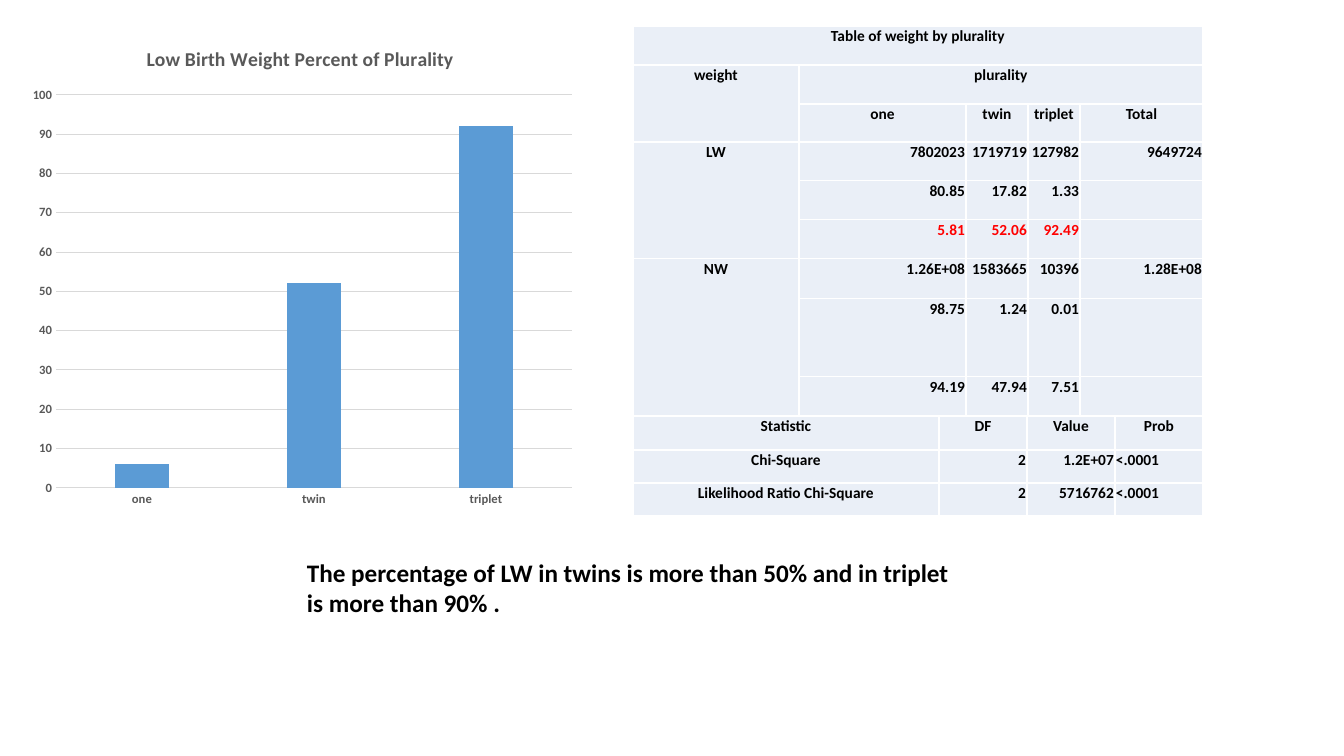
"""Build the slide on low birth weight by plurality."""
from lxml import etree
from pptx import Presentation
from pptx.chart.data import CategoryChartData
from pptx.dml.color import RGBColor
from pptx.enum.chart import XL_CHART_TYPE, XL_TICK_MARK
from pptx.enum.text import MSO_AUTO_SIZE, PP_ALIGN
from pptx.oxml import parse_xml
from pptx.oxml.ns import nsdecls, qn
from pptx.util import Pt

COLUMN_CLUSTERED = XL_CHART_TYPE.COLUMN_CLUSTERED
NO_TICK = XL_TICK_MARK.NONE
FIT_SHAPE = MSO_AUTO_SIZE.SHAPE_TO_FIT_TEXT
LEFT, CENTER, RIGHT = PP_ALIGN.LEFT, PP_ALIGN.CENTER, PP_ALIGN.RIGHT

BLACK = RGBColor(0x00, 0x00, 0x00)
RED = RGBColor(0xFF, 0x00, 0x00)
GRAY = RGBColor(0x59, 0x59, 0x59)
GRID = RGBColor(0xD9, 0xD9, 0xD9)
BLUE = RGBColor(0x5B, 0x9B, 0xD5)
CELL_FILL = RGBColor(0xEA, 0xEF, 0xF7)

EMU_PER_PX = 914400 / 100.8
SLIDE_SIZE = (1344, 756)

CHART_TITLE = "Low Birth Weight Percent of Plurality"
PERCENTS = {"one": 6, "twin": 52, "triplet": 92}
CHART_BOX = (21, 26, 562, 490)
PLOT_BOX = (56, 95, 516, 393)
TITLE_CORNER = (143, 42)

WEIGHT_TABLE = {
    "corner": (633, 26),
    "columns": [166, 167, 62, 52, 123],
    "rows": [39, 39, 38, 39, 39, 39, 40, 78, 39],
    "header_rows": 3,
    "merges": [(0, 0, 0, 4), (1, 0, 2, 0), (1, 1, 1, 4), (3, 0, 5, 0), (6, 0, 8, 0)],
    "red_row": 5,
    "cells": [
        ["Table of weight by plurality", "", "", "", ""],
        ["weight", "plurality", "", "", ""],
        ["", "one", "twin", "triplet", "Total"],
        ["LW", "7802023", "1719719", "127982", "9649724"],
        ["", "80.85", "17.82", "1.33", ""],
        ["", "5.81", "52.06", "92.49", ""],
        ["NW", "1.26E+08", "1583665", "10396", "1.28E+08"],
        ["", "98.75", "1.24", "0.01", ""],
        ["", "94.19", "47.94", "7.51", ""],
    ],
}
STATISTIC_TABLE = {
    "corner": (633, 416),
    "columns": [306, 88, 88, 88],
    "rows": [34, 33, 33],
    "header_rows": 1,
    "merges": [],
    "red_row": None,
    "cells": [
        ["Statistic", "DF", "Value", "Prob"],
        ["Chi-Square", "2", "1.2E+07", "<.0001"],
        ["Likelihood Ratio Chi-Square", "2", "5716762", "<.0001"],
    ],
}
CONCLUSION = "The percentage of LW in twins is more than 50% and in triplet is more than 90% ."
CONCLUSION_BOX = (297, 552, 672, 72)


def px(length):
    return round(length * EMU_PER_PX)


def set_font(font, size, color):
    for name, value in {"name": "Calibri", "size": Pt(size), "bold": True}.items():
        setattr(font, name, value)
    font.color.rgb = color


def place_in_chart(element, position):
    layout = element.find(qn("c:layout"))
    if layout is None:
        layout = parse_xml(f"<c:layout {nsdecls('c')}/>")
        text = element.find(qn("c:tx"))
        if text is None:
            element.insert(0, layout)
        else:
            text.addnext(layout)
    for child in list(layout):
        layout.remove(child)
    manual = etree.SubElement(layout, qn("c:manualLayout"))
    left, top, width, height = CHART_BOX
    fractions = [(position[0] - left) / width, (position[1] - top) / height]
    settings = {"xMode": "edge", "yMode": "edge"}
    if len(position) == 4:
        settings = {"layoutTarget": "inner", **settings}
        fractions += [position[2] / width, position[3] / height]
    settings.update(zip("xywh", (round(value, 4) for value in fractions)))
    for tag, value in settings.items():
        etree.SubElement(manual, qn(f"c:{tag}")).set("val", str(value))


def add_percent_chart(slide):
    data = CategoryChartData()
    data.categories = list(PERCENTS)
    data.add_series("Series 1", list(PERCENTS.values()))
    chart = slide.shapes.add_chart(COLUMN_CLUSTERED, *map(px, CHART_BOX), data).chart
    set_font(chart.font, 10, BLACK)
    chart.has_legend = False
    chart.has_title = True
    paragraph = chart.chart_title.text_frame.paragraphs[0]
    paragraph.text = CHART_TITLE
    set_font(paragraph.runs[0].font, 14, GRAY)
    chart.chart_title.include_in_layout = False
    place_in_chart(chart.chart_title._element, TITLE_CORNER)
    place_in_chart(chart._chartSpace.chart.plotArea, PLOT_BOX)

    for axis in (chart.category_axis, chart.value_axis):
        axis.major_tick_mark = axis.minor_tick_mark = NO_TICK
        set_font(axis.tick_labels.font, 9, GRAY)
    value_axis = chart.value_axis
    value_axis.minimum_scale, value_axis.maximum_scale, value_axis.major_unit = 0, 100, 10
    value_axis.tick_labels.number_format = "0"
    value_axis.tick_labels.number_format_is_linked = False
    value_axis.format.line.fill.background()
    for line in (chart.category_axis.format.line, value_axis.major_gridlines.format.line):
        line.color.rgb = GRID
        line.width = Pt(0.75)

    plot = chart.plots[0]
    plot.gap_width, plot.overlap, plot.vary_by_categories = 219, -27, False
    bars = plot.series[0].format.fill
    bars.solid()
    bars.fore_color.rgb = BLUE


def format_cell(cell):
    margins = {"margin_left": 1, "margin_right": 1, "margin_top": 1, "margin_bottom": 0}
    for name, value in margins.items():
        setattr(cell, name, px(value))
    properties = cell._tc.get_or_add_tcPr()
    for side in ("lnL", "lnR", "lnT", "lnB"):
        properties.append(parse_xml(
            f'<a:{side} {nsdecls("a")} w="12700"><a:solidFill>'
            f'<a:srgbClr val="FFFFFF"/></a:solidFill></a:{side}>'))
    cell.fill.solid()
    cell.fill.fore_color.rgb = CELL_FILL


def add_data_table(slide, content):
    columns, rows = content["columns"], content["rows"]
    box = (*content["corner"], sum(columns), sum(rows))
    table = slide.shapes.add_table(len(rows), len(columns), *map(px, box)).table
    table.first_row = table.horz_banding = False
    for column, width in zip(table.columns, columns):
        column.width = px(width)
    for row, height in zip(table.rows, rows):
        row.height = px(height)
    for row_index, texts in enumerate(content["cells"]):
        for column_index, text in enumerate(texts):
            cell = table.cell(row_index, column_index)
            format_cell(cell)
            if not text:
                continue
            paragraph = cell.text_frame.paragraphs[0]
            paragraph.text = text
            if row_index < content["header_rows"] or column_index == 0:
                paragraph.alignment = CENTER
            else:
                paragraph.alignment = LEFT if text.startswith("<") else RIGHT
            color = RED if row_index == content["red_row"] else BLACK
            set_font(paragraph.runs[0].font, 11, color)
    for top, left, bottom, right in content["merges"]:
        table.cell(top, left).merge(table.cell(bottom, right))


def add_conclusion(slide):
    frame = slide.shapes.add_textbox(*map(px, CONCLUSION_BOX)).text_frame
    frame.word_wrap = True
    frame.auto_size = FIT_SHAPE
    paragraph = frame.paragraphs[0]
    paragraph.text = CONCLUSION
    set_font(paragraph.runs[0].font, 18, BLACK)


def main():
    presentation = Presentation()
    presentation.slide_width, presentation.slide_height = map(px, SLIDE_SIZE)
    slide = presentation.slides.add_slide(presentation.slide_layouts[6])
    add_percent_chart(slide)
    for content in (WEIGHT_TABLE, STATISTIC_TABLE):
        add_data_table(slide, content)
    add_conclusion(slide)
    presentation.save("out.pptx")


if __name__ == "__main__":
    main()
